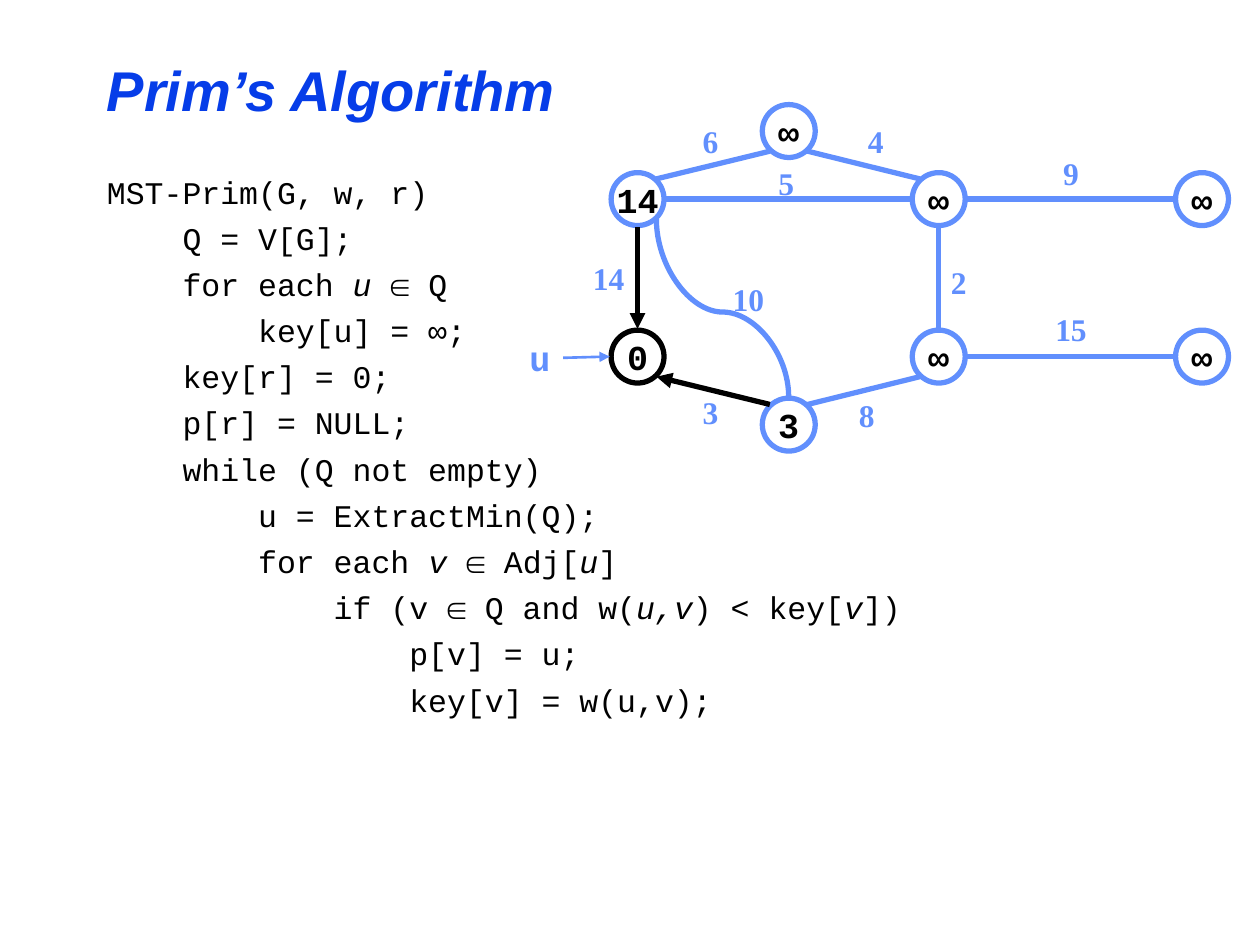
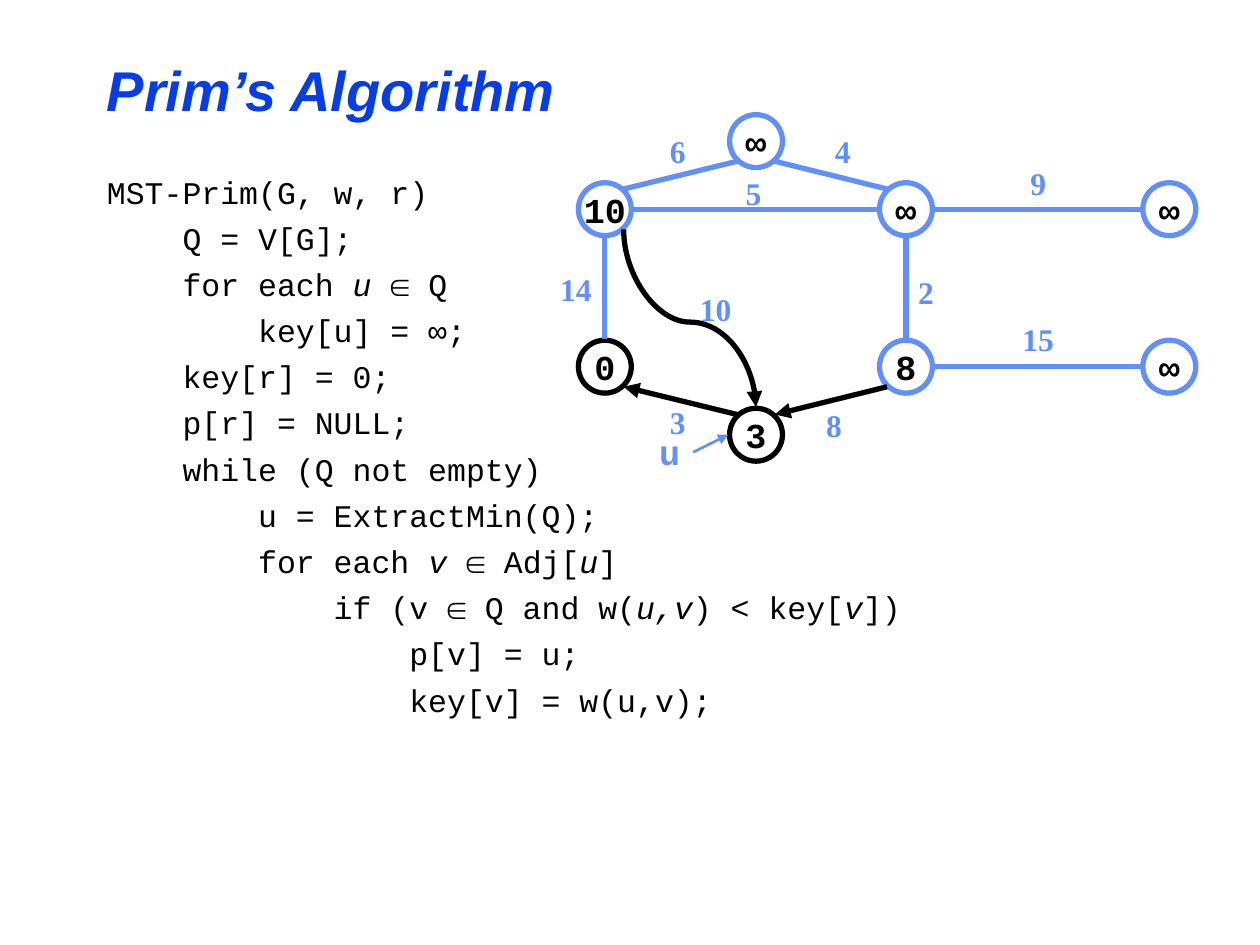
import lxml.etree
import pptx
import pptx.dml.color
import pptx.enum.shapes
import pptx.enum.text
import pptx.oxml.ns
import pptx.util

Inches = pptx.util.Inches
Pt = pptx.util.Pt

TITLE_BLUE = "063DE8"
GRAPH_BLUE = "618FFD"
BLACK = "000000"

DIAMETER = 0.42
ROWS = (0.21, 0.75, 2.0, 2.54)
COLUMNS = (0.21, 1.41, 2.6, 4.69)

VERTICES = {
    "upper left": (COLUMNS[0], ROWS[1]),
    "upper middle": (COLUMNS[2], ROWS[1]),
    "upper right": (COLUMNS[3], ROWS[1]),
    "root": (COLUMNS[0], ROWS[2]),
    "lower middle": (COLUMNS[2], ROWS[2]),
    "lower right": (COLUMNS[3], ROWS[2]),
    "bottom": (COLUMNS[1], ROWS[3]),
    "top": (COLUMNS[1], ROWS[0]),
}

PORTS = {
    "N": (0, -0.22), "S": (0, 0.22), "W": (-0.22, 0), "E": (0.22, 0),
    "NW": (-0.15, -0.16), "NE": (0.15, -0.16),
    "SW": (-0.15, 0.16), "SE": (0.15, 0.16),
}

EDGES = {
    4: ("top", "SE", "upper middle", "NW"),
    6: ("top", "SW", "upper left", "NE"),
    5: ("upper left", "E", "upper middle", "W"),
    14: ("root", "N", "upper left", "S"),
    3: ("root", "SE", "bottom", "NW"),
    8: ("bottom", "NE", "lower middle", "SW"),
    2: ("lower middle", "N", "upper middle", "S"),
    9: ("upper middle", "E", "upper right", "W"),
    15: ("lower middle", "E", "lower right", "W"),
    10: ("bottom", "N", "upper left", "SE"),
}
CURVED_EDGE = 10

WEIGHT_PLACES = {
    14: (-0.02, 1.18), 10: (1.09, 1.34), 3: (0.79, 2.24), 6: (0.79, 0.09),
    4: (2.1, 0.09), 5: (1.39, 0.42), 2: (2.76, 1.21), 9: (3.65, 0.34),
    15: (3.65, 1.58), 8: (2.03, 2.26),
}

PSEUDOCODE = """\
MST-Prim(G, w, r)
    Q = V[G];
    for each _u _∈ Q
        key[u] = ∞;
    key[r] = 0;
    p[r] = NULL;
    while (Q not empty)
        u = ExtractMin(Q);
        for each _v _∈ Adj[_u_]
            if (v ∈ Q and w(_u,v_) < key[_v_])
                p[v] = u;
                key[v] = w(u,v);"""

STEPS = [
    {
        "origin": (4.85, 0.83),
        "keys": {"upper left": "14", "root": "0", "bottom": "3"},
        "visited": {"root"},
        "tree": {14, 3},
        "current": "root",
        "u": (4.285, 2.62),
    },
    {
        "origin": (4.59, 0.91),
        "keys": {"upper left": "10", "root": "0", "bottom": "3", "lower middle": "8"},
        "visited": {"root", "bottom"},
        "tree": {3, 8, 10},
        "current": "bottom",
        "u": (5.315, 3.37),
    },
]


def rgb(value):
    """Return the colour for a hex string."""
    return pptx.dml.color.RGBColor.from_string(value)


def shift(point, offset):
    """Return a point moved by an offset."""
    return point[0] + offset[0], point[1] + offset[1]


def style_run(run, font, size, color, bold=False, italic=False):
    """Set the font of one run."""
    run.font.name = font
    run.font.size = Pt(size)
    run.font.color.rgb = rgb(color)
    run.font.bold = bold
    run.font.italic = italic


def center_text(frame, text, font, size, color):
    """Write one bold, centred, unwrapped line into a text frame."""
    frame.text = text
    frame.word_wrap = False
    line = frame.paragraphs[0]
    line.alignment = pptx.enum.text.PP_ALIGN.CENTER
    style_run(line.runs[0], font, size, color, bold=True)


def add_title(slide, text):
    """Add the slide title."""
    title = slide.shapes.add_textbox(Inches(0.75), Inches(0.33), Inches(8.5), Inches(0.75))
    frame = title.text_frame
    frame.text = text
    frame.word_wrap = True
    frame.vertical_anchor = pptx.enum.text.MSO_ANCHOR.MIDDLE
    style_run(frame.paragraphs[0].runs[0], "Arial", 32, TITLE_BLUE, bold=True, italic=True)


def add_code(slide, code):
    """Add the code listing, with italics between underscores."""
    listing = slide.shapes.add_textbox(Inches(0.75), Inches(1.25), Inches(8.58), Inches(6))
    frame = listing.text_frame
    frame.word_wrap = True
    frame.margin_top = Inches(0.12)
    for number, line in enumerate(code.splitlines()):
        paragraph = frame.add_paragraph() if number else frame.paragraphs[0]
        if number:
            paragraph.space_before = Pt(4.8)
        for position, part in enumerate(line.split("_")):
            run = paragraph.add_run()
            run.text = part
            style_run(run, "Courier New", 18, BLACK, italic=position % 2 == 1)


def add_vertex(slide, center, key, color):
    """Add a round vertex that shows its key."""
    left, top = shift(center, (-DIAMETER / 2, -DIAMETER / 2))
    vertex = slide.shapes.add_shape(
        pptx.enum.shapes.MSO_SHAPE.OVAL,
        Inches(left), Inches(top), Inches(DIAMETER), Inches(DIAMETER))
    vertex.shadow.inherit = False
    vertex.fill.background()
    vertex.line.color.rgb = rgb(color)
    vertex.line.width = Pt(3)
    vertex.text_frame.vertical_anchor = pptx.enum.text.MSO_ANCHOR.MIDDLE
    center_text(vertex.text_frame, key, "Courier New", 20, BLACK)


def add_label(slide, place, text, font, size, extent):
    """Add a label given its horizontal centre, top and extent."""
    width, height = extent
    label = slide.shapes.add_textbox(
        Inches(place[0] - width / 2), Inches(place[1]), Inches(width), Inches(height))
    label.text_frame.auto_size = pptx.enum.text.MSO_AUTO_SIZE.SHAPE_TO_FIT_TEXT
    center_text(label.text_frame, text, font, size, GRAPH_BLUE)


def add_line(slide, start, end, color, width, arrow=None, kind="STRAIGHT"):
    """Add a connector; arrow is headEnd, tailEnd or None."""
    connector = slide.shapes.add_connector(
        pptx.enum.shapes.MSO_CONNECTOR[kind], *(Inches(value) for value in start + end))
    connector.line.color.rgb = rgb(color)
    connector.line.width = Pt(width)
    qn = pptx.oxml.ns.qn
    properties = connector._element.spPr
    if arrow:
        outline = properties.find(qn("a:ln"))
        lxml.etree.SubElement(outline, qn("a:" + arrow), type="triangle")
    lxml.etree.SubElement(properties, qn("a:effectLst"))
    return connector


def add_vertical_curve(slide, start, end, color, width, arrow=None):
    """Add a curve that leaves and arrives vertically, up and to the left."""
    middle = (start[0] + end[0]) / 2, (start[1] + end[1]) / 2
    half_rise, half_run = (start[1] - end[1]) / 2, (start[0] - end[0]) / 2
    curve = add_line(
        slide, shift(middle, (half_rise, -half_run)), shift(middle, (-half_rise, half_run)),
        color, width, arrow, "CURVE")
    qn = pptx.oxml.ns.qn
    properties = curve._element.spPr
    properties.find(qn("a:xfrm")).set("rot", str(90 * 60000))
    geometry = properties.find(qn("a:prstGeom"))
    adjustments = geometry.find(qn("a:avLst"))
    if adjustments is None:
        adjustments = lxml.etree.SubElement(geometry, qn("a:avLst"))
    lxml.etree.SubElement(adjustments, qn("a:gd"), name="adj1", fmla="val 47800")


def add_graph(slide, step):
    """Draw the weighted graph at one step of the algorithm."""
    centers = {name: shift(step["origin"], place) for name, place in VERTICES.items()}
    for name, center in centers.items():
        color = BLACK if name in step["visited"] else GRAPH_BLUE
        add_vertex(slide, center, step["keys"].get(name, "∞"), color)
    for weight, (parent, parent_port, child, child_port) in EDGES.items():
        in_tree = weight in step["tree"]
        draw = add_vertical_curve if weight == CURVED_EDGE else add_line
        draw(slide, shift(centers[parent], PORTS[parent_port]),
             shift(centers[child], PORTS[child_port]),
             BLACK if in_tree else GRAPH_BLUE, 3, "headEnd" if in_tree else None)
    for weight, place in WEIGHT_PLACES.items():
        width = 0.45 if weight > 9 else 0.33
        add_label(slide, shift(step["origin"], place), str(weight),
                  "Times New Roman", 18, (width, 0.4))
    add_label(slide, step["u"], "u", "Courier New", 20, (0.37, 0.43))
    add_line(slide, shift(step["u"], (0.185, 0.22)),
             shift(centers[step["current"]], PORTS["W"]), GRAPH_BLUE, 1.5, "tailEnd")


def main():
    """Build one slide for each step and save the deck."""
    deck = pptx.Presentation()
    deck.slide_width = Inches(10)
    deck.slide_height = Inches(7.5)
    for step in STEPS:
        slide = deck.slides.add_slide(deck.slide_layouts[6])
        add_title(slide, "Prim’s Algorithm")
        add_code(slide, PSEUDOCODE)
        add_graph(slide, step)
    deck.save("out.pptx")


if __name__ == "__main__":
    main()
